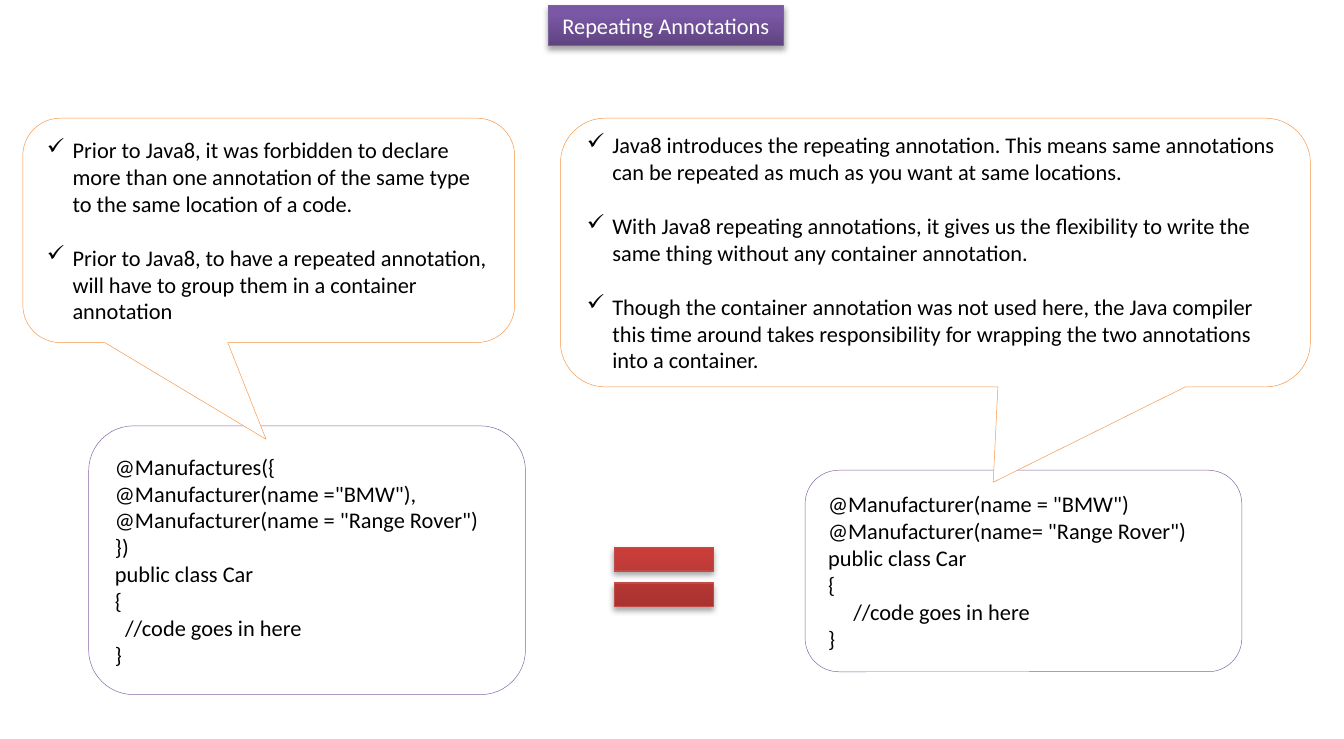
from copy import deepcopy
from dataclasses import dataclass

from lxml import etree
from pptx import Presentation
from pptx import util as u
from pptx.dml.color import RGBColor
from pptx.enum import shapes, text
from pptx.oxml.ns import qn

PX = 9144


@dataclass(frozen=True)
class Theme:
    """Colours, font and type size of the slide."""
    font: str = "Calibri"
    size: float = 12
    gap: float = 14.4
    ink: str = "000000"
    paper: str = "FFFFFF"
    purple: str = "8064A2"
    orange: str = "F79646"
    title_line: str = "7D60A0"
    title_fill: tuple = ((0, "5F4480"), (0.8, "7B58A6"), (1, "7C57A8"))
    equal_line: str = "BF4C48"
    equal_fill: tuple = ((0, "9C2F2D"), (0.8, "CB3E3A"), (1, "CE3B37"))


class Painter:
    """Draws each kind of element on the current slide."""

    def __init__(self, theme, page):
        """Keep the style and the slide."""
        self.theme = theme
        self.page = page

    def shape(self, kind, place, line, width):
        """Add an outlined shape without a shadow."""
        box = self.page.shapes.add_shape(kind, *(n * PX for n in place))
        box.shadow.inherit = False
        box.line.color.rgb = RGBColor.from_string(line)
        box.line.width = u.Pt(width)
        return box

    def glossy(self, kind, place, line, stops):
        """Add a shape with a vertical gradient and a soft shadow."""
        box = self.shape(kind, place, line, 0.75)
        box.fill.gradient()
        box.fill.gradient_angle = 90
        properties = box._element.spPr
        stop_list = properties.find(qn("a:gradFill")).find(qn("a:gsLst"))
        stop_list.append(deepcopy(stop_list[-1]))
        for stop, (position, color) in zip(box.fill.gradient_stops, stops):
            stop.position = position
            stop.color.rgb = RGBColor.from_string(color)
        shadow = etree.SubElement(
            properties.find(qn("a:effectLst")), qn("a:outerShdw"),
            blurRad="40000", dist="23000", dir="5400000", rotWithShape="0")
        color = etree.SubElement(shadow, qn("a:srgbClr"), val="000000")
        etree.SubElement(color, qn("a:alpha"), val="35000")
        return box

    def panel(self, kind, place, line):
        """Add a plain panel with a hairline outline."""
        box = self.shape(kind, place, line, 0.25)
        box.fill.solid()
        box.fill.fore_color.rgb = RGBColor.from_string(self.theme.paper)
        return box

    def add_lines(self, box, lines, color, align=text.PP_ALIGN.LEFT, bullets=False):
        """Add one paragraph per line, ticked and spaced if bulleted."""
        frame = box.text_frame
        frame.vertical_anchor = text.MSO_ANCHOR.MIDDLE
        for index, line in enumerate(lines):
            para = frame.add_paragraph() if index else frame.paragraphs[0]
            para.alignment = align
            if bullets:
                if index:
                    para.space_before = u.Pt(self.theme.gap)
                properties = para._p.get_or_add_pPr()
                properties.set("marL", str(19 * PX))
                properties.set("indent", str(-19 * PX))
                etree.SubElement(properties, qn("a:buChar"), char="✓")
            span = para.add_run()
            span.text = line
            span.font.name = self.theme.font
            span.font.size = u.Pt(self.theme.size)
            span.font.color.rgb = RGBColor.from_string(color)

    def title(self, place, words):
        """Add the title banner."""
        box = self.glossy(shapes.MSO_SHAPE.RECTANGLE, place,
                          self.theme.title_line, self.theme.title_fill)
        self.add_lines(box, [words], self.theme.paper, text.PP_ALIGN.CENTER)
        box.text_frame.word_wrap = False

    def equal_sign(self, place):
        """Add the equals sign between the two code panels."""
        self.glossy(shapes.MSO_SHAPE.MATH_EQUAL, place,
                    self.theme.equal_line, self.theme.equal_fill)

    def code(self, place, lines):
        """Add a rounded code panel."""
        box = self.panel(shapes.MSO_SHAPE.ROUNDED_RECTANGLE, place, self.theme.purple)
        self.add_lines(box, lines, self.theme.ink)

    def callout(self, place, tip, lines):
        """Add a bulleted callout whose tail ends at the tip."""
        box = self.panel(shapes.MSO_SHAPE.ROUNDED_RECTANGULAR_CALLOUT, place,
                         self.theme.orange)
        left, top, width, height = place
        box.adjustments[0] = (tip[0] - left) / width - 0.5
        box.adjustments[1] = (tip[1] - top) / height - 0.5
        self.add_lines(box, lines, self.theme.ink, bullets=True)


def main():
    """Build and save the slide."""
    deck = Presentation()
    deck.slide_width, deck.slide_height = 1000 * PX, 550 * PX
    painter = Painter(Theme(), deck.slides.add_slide(deck.slide_layouts[6]))

    painter.title((408, 4, 175, 30), "Repeating Annotations")
    painter.code((66, 317, 325, 200), [
        "@Manufactures({",
        '@Manufacturer(name ="BMW"),',
        '@Manufacturer(name = "Range Rover")',
        "})",
        "public class Car",
        "{",
        "  //code goes in here",
        "}",
    ])
    painter.code((599, 350, 325, 150), [
        '@Manufacturer(name = "BMW")',
        '@Manufacturer(name= "Range Rover")',
        "public class Car",
        "{",
        "     //code goes in here",
        "}",
    ])
    painter.equal_sign((444, 392, 100, 75))
    painter.callout((17, 88, 366, 167), (198, 327), [
        "Prior to Java8, it was forbidden to declare more than one annotation "
        "of the same type to the same location of a code.",
        "Prior to Java8, to have a repeated annotation, will have to group them "
        "in a container annotation",
    ])
    painter.callout((417, 88, 558, 200), (739, 359), [
        "Java8 introduces the repeating annotation. This means same annotations "
        "can be repeated as much as you want at same locations.",
        "With Java8 repeating annotations, it gives us the flexibility to write "
        "the same thing without any container annotation.",
        "Though the container annotation was not used here, the Java compiler "
        "this time around takes responsibility for wrapping the two annotations "
        "into a container.",
    ])
    deck.save("out.pptx")


if __name__ == "__main__":
    main()
